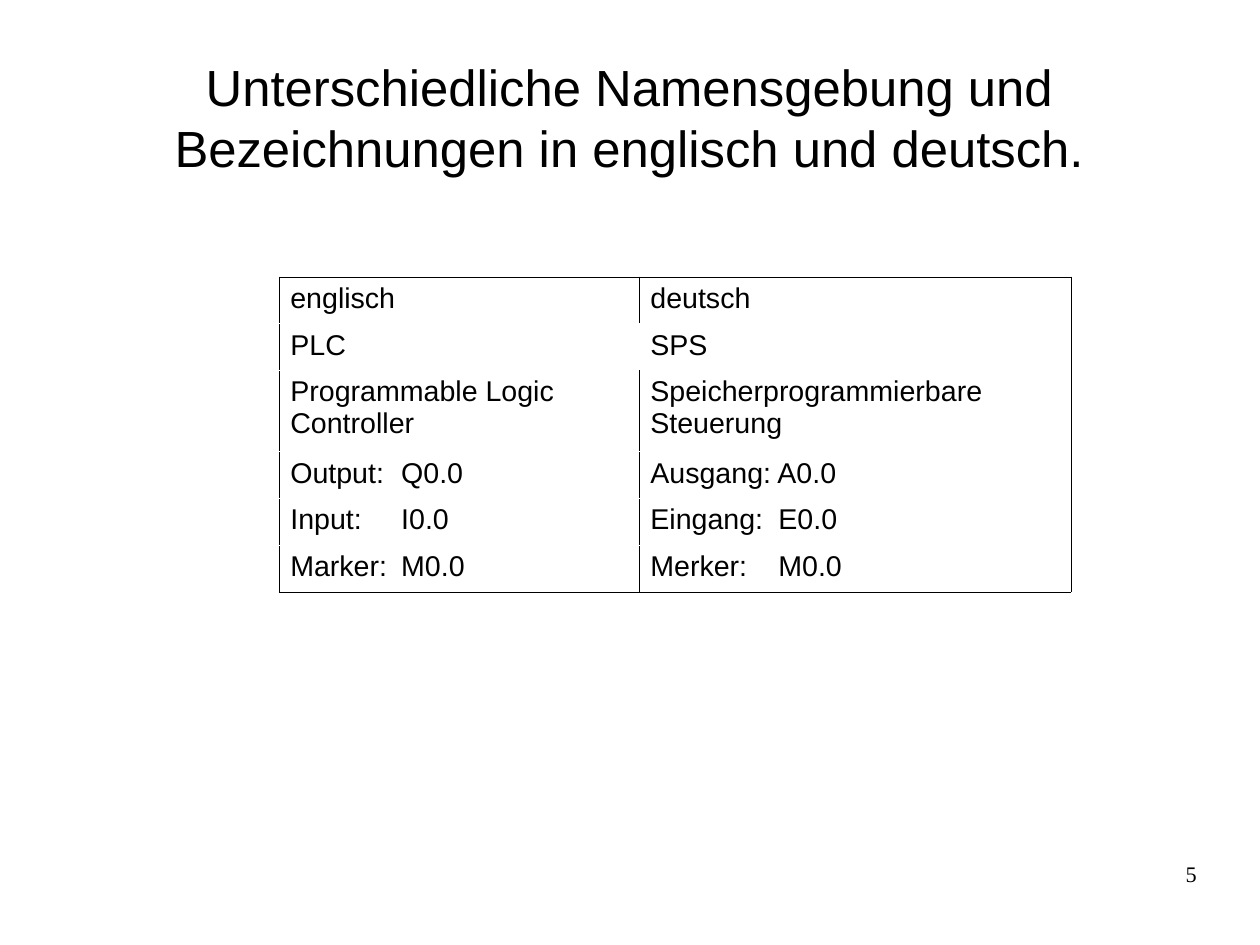
from lxml.etree import SubElement
from pptx import Presentation
from pptx.dml.color import RGBColor
from pptx.enum.text import MSO_ANCHOR, MSO_AUTO_SIZE, PP_ALIGN
from pptx.oxml.ns import qn
from pptx.util import Inches, Pt

COLORS = {"black": "000000", "white": "FFFFFF"}
BORDER_WIDTH = Pt(0.06)

# The page measures 28 by 21 centimetres
CM_PER_INCH = 2.54
PAGE_WIDTH = Inches(28 / CM_PER_INCH)
PAGE_HEIGHT = Inches(21 / CM_PER_INCH)

# Table content: one (englisch, deutsch) pair per row; tabs align the addresses
TERMS = [
    ("englisch", "deutsch"),
    ("PLC", "SPS"),
    ("Programmable Logic Controller", "Speicherprogrammierbare Steuerung"),
    ("Output:\tQ0.0", "Ausgang: A0.0"),
    ("Input:\tI0.0", "Eingang:\tE0.0"),
    ("Marker:\tM0.0", "Merker:\tM0.0"),
]
COLUMN_WIDTHS = [3.15, 3.78]
ROW_HEIGHTS = [0.41, 0.41, 0.71, 0.41, 0.41, 0.41]
ADDRESS_TABS = [0.97, 1.12]
UNDIVIDED_ROW = 1


def set_text(frame, text, size, font="Arial", align=PP_ALIGN.LEFT):
    para = frame.paragraphs[0]
    para.text = text
    para.alignment = align
    para.font.size = Pt(size)
    para.font.name = font
    para.font.color.rgb = RGBColor.from_string(COLORS["black"])
    return para


def clear_margins(frame):
    frame.margin_left = frame.margin_right = 0
    frame.margin_top = frame.margin_bottom = 0
    frame.word_wrap = True


def add_tab_stop(para, position):
    properties = para._p.get_or_add_pPr()
    tabs = SubElement(properties, qn("a:tabLst"))
    SubElement(tabs, qn("a:tab"), pos=str(Inches(position)), algn="l")
    properties.insert(0, tabs)


def add_border(cell, side, color):
    line = SubElement(cell._tc.get_or_add_tcPr(), qn(f"a:ln{side}"),
                      w=str(BORDER_WIDTH))
    fill = SubElement(line, qn("a:solidFill"))
    SubElement(fill, qn("a:srgbClr"), val=COLORS[color])


def add_title(slide, text):
    title = slide.shapes.title
    title.left, title.top = Inches(0.55), Inches(0.33)
    title.width, title.height = Inches(9.92), Inches(1.38)
    frame = title.text_frame
    clear_margins(frame)
    frame.auto_size = MSO_AUTO_SIZE.NONE
    frame.vertical_anchor = MSO_ANCHOR.MIDDLE
    set_text(frame, text, 32, align=PP_ALIGN.CENTER)


def add_terms_table(slide):
    table = slide.shapes.add_table(
        len(TERMS), len(COLUMN_WIDTHS), Inches(2.44), Inches(2.42),
        Inches(sum(COLUMN_WIDTHS)), Inches(sum(ROW_HEIGHTS))).table
    table.first_row = table.horz_banding = False
    for column, width in zip(table.columns, COLUMN_WIDTHS):
        column.width = Inches(width)
    for row, height in zip(table.rows, ROW_HEIGHTS):
        row.height = Inches(height)

    last_row = len(TERMS) - 1
    for row_index, terms in enumerate(TERMS):
        divider = "white" if row_index == UNDIVIDED_ROW else "black"
        for column_index, term in enumerate(terms):
            cell = table.cell(row_index, column_index)
            para = set_text(cell.text_frame, term, 18)
            if "\t" in term:
                add_tab_stop(para, ADDRESS_TABS[column_index])
            # Black frame, black column divider, white lines between rows
            add_border(cell, "L", "black" if column_index == 0 else divider)
            add_border(cell, "R", divider if column_index == 0 else "black")
            add_border(cell, "T", "black" if row_index == 0 else "white")
            add_border(cell, "B", "black" if row_index == last_row else "white")
            cell.fill.solid()
            cell.fill.fore_color.rgb = RGBColor.from_string(COLORS["white"])


def add_page_number(slide, number):
    box = slide.shapes.add_textbox(Inches(7.9), Inches(7.53),
                                   Inches(2.57), Inches(0.57))
    clear_margins(box.text_frame)
    set_text(box.text_frame, number, 14, "Times New Roman", PP_ALIGN.RIGHT)


def main():
    deck = Presentation()
    deck.slide_width = PAGE_WIDTH
    deck.slide_height = PAGE_HEIGHT
    slide = deck.slides.add_slide(deck.slide_layouts[5])
    add_title(slide, "Unterschiedliche Namensgebung und "
                     "Bezeichnungen in englisch und deutsch.")
    add_terms_table(slide)
    add_page_number(slide, "5")
    deck.save("out.pptx")


if __name__ == "__main__":
    main()
